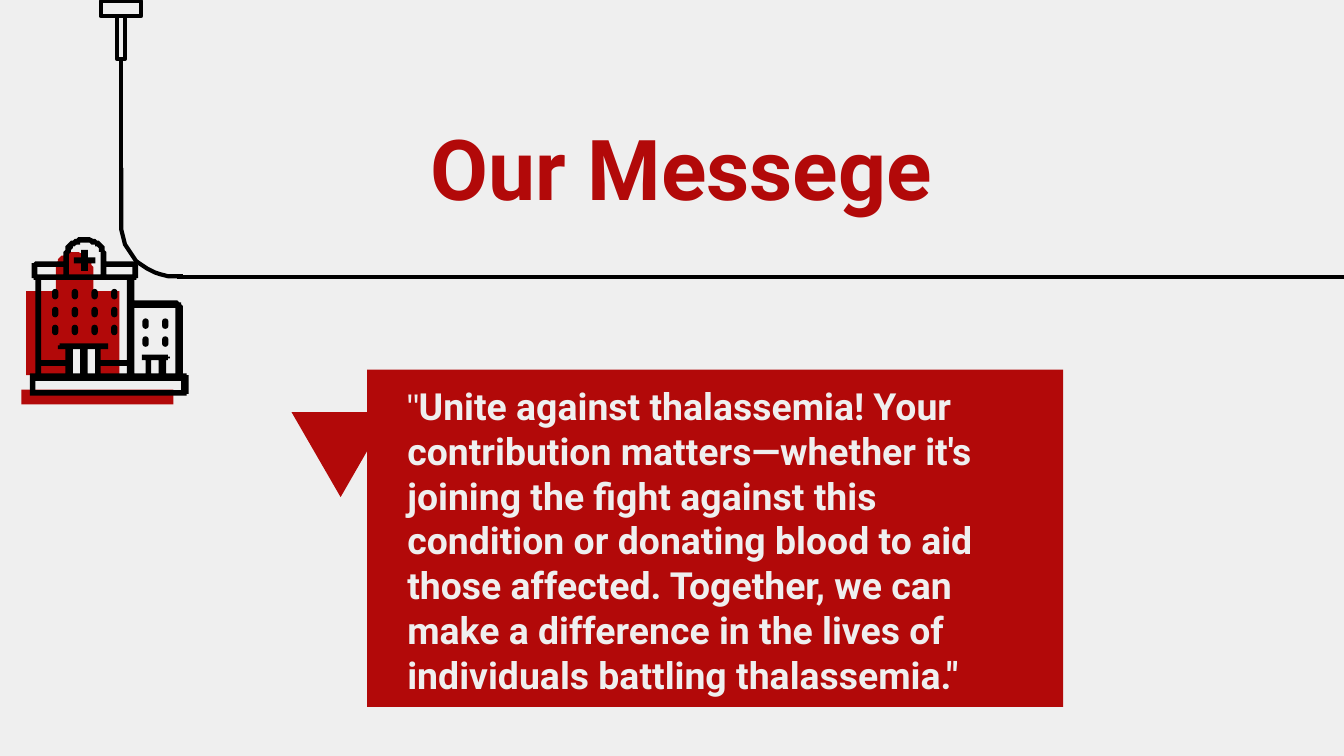
"""Build the closing message slide with its drip line and hospital icon."""
from lxml.etree import SubElement
from pptx import Presentation
from pptx.dml.color import RGBColor
from pptx.enum.shapes import MSO_CONNECTOR, MSO_SHAPE
from pptx.enum.text import MSO_ANCHOR, PP_ALIGN
from pptx.oxml.ns import qn
from pptx.util import Pt

HUES = {"paper": "EFEFEF", "red": "B20909", "ink": "000000"}
hue = {name: RGBColor.from_string(code) for name, code in HUES.items()}


def paint(shape, fill=None, width=0):
    shape.shadow.inherit = False
    if fill:
        shape.fill.solid()
        shape.fill.fore_color.rgb = hue[fill]
    else:
        shape.fill.background()
    if width:
        shape.line.color.rgb = hue["ink"]
        shape.line.width = Pt(width)
    else:
        shape.line.fill.background()
    return shape


def trace(loops, close=True):
    pen = None
    for loop in loops:
        dots = []
        for i, (x, y, *rest) in enumerate(loop):
            if not rest:
                dots.append((x, y))
                continue
            ends = []
            for a, b in (loop[i - 1][:2], loop[(i + 1) % len(loop)][:2]):
                part = rest[0] / (abs(a - x) + abs(b - y))
                ends.append((x + (a - x) * part, y + (b - y) * part))
            for step in range(13):
                t = step / 12
                pull = (1 - t) ** 3 + 1.35 * t * (1 - t) ** 2
                push = t ** 3 + 1.35 * t ** 2 * (1 - t)
                dots.append(tuple(p + (s - p) * pull + (e - p) * push
                                  for p, s, e in zip((x, y), *ends)))
        if pen is None:
            pen = shapes.build_freeform(*dots[0], scale=Pt(1))
        else:
            pen.move_to(*dots[0])
        pen.add_line_segments(dots[1:], close=close)
    return pen.convert_to_shape()


deck = Presentation()
deck.slide_width, deck.slide_height = Pt(720), Pt(405)
slide = deck.slides.add_slide(deck.slide_layouts[6])
slide.background.fill.solid()
slide.background.fill.fore_color.rgb = hue["paper"]
shapes = slide.shapes

cap, leg = [
    paint(shapes.add_shape(MSO_SHAPE.RECTANGLE, *map(Pt, spot)), "paper", 2.25)
    for spot in ((54, 0.7, 21.6, 7.9), (62.6, 8.6, 4.4, 23))
]
tube = []
for spot in ((64.8, 31.6, 64.8, 92), (95, 148.3, 720, 148.3)):
    line = shapes.add_connector(MSO_CONNECTOR.STRAIGHT, *map(Pt, spot))
    line.line.color.rgb = hue["ink"]
    line.line.width = Pt(2.25)
    SubElement(line._element.spPr, qn("a:effectLst"))
    tube.append(line)
tube[0].begin_connect(leg, 2)
bend = [(64.8, 90), (64.8, 148.3, 29), (98, 148.3)]
paint(trace([bend], close=False), width=2.25)

arrow = paint(shapes.add_shape(MSO_SHAPE.ISOSCELES_TRIANGLE, Pt(162.7), Pt(209.5),
                               Pt(52.6), Pt(45.4)), "red")
arrow.rotation = 60
panel = paint(shapes.add_shape(MSO_SHAPE.RECTANGLE, Pt(196.6), Pt(198),
                               Pt(373), Pt(180.7)), "red")
title = shapes.add_textbox(Pt(61.2), Pt(56.9), Pt(607.7), Pt(64.8))

quote = (
    "Unite against thalassemia! Your contribution matters—whether it's joining "
    "the fight against this condition or donating blood to aid those affected. "
    "Together, we can make a difference in the lives of individuals battling "
    'thalassemia."'
)
texts = [
    (panel, MSO_ANCHOR.TOP, PP_ALIGN.LEFT, 21.6, "paper",
     [('"', {"name": "Karla", "size": Pt(20), "bold": False}),
      (quote, {"name": "Roboto", "size": Pt(20), "bold": True})]),
    (title, MSO_ANCHOR.MIDDLE, PP_ALIGN.CENTER, 7.2, "red",
     [("Our Messege", {"name": "Roboto", "size": Pt(45), "bold": True})]),
]
for box, anchor, align, side, color, runs in texts:
    frame = box.text_frame
    form = {"word_wrap": True, "vertical_anchor": anchor,
            "margin_left": Pt(side), "margin_right": Pt(side),
            "margin_top": Pt(7.2), "margin_bottom": Pt(7.2)}
    for key, value in form.items():
        setattr(frame, key, value)
    para = frame.paragraphs[0]
    para.alignment = align
    for words, face in runs:
        run = para.add_run()
        run.text = words
        run.font.color.rgb = hue[color]
        for key, value in face.items():
            setattr(run.font, key, value)

dome = [(29.5, 135.4, 8.4), (49.7, 135.4, 8.4), (49.7, 155.5), (29.5, 155.5)]
block = [(14.4, 155.5), (64.1, 155.5), (64.1, 200.9), (46.8, 200.9),
         (46.8, 192.2), (31, 192.2), (31, 200.9), (14.4, 200.9)]
for loop in (dome, block):
    paint(trace([loop]), "red")

parts = [
    (MSO_SHAPE.RECTANGLE, "red", (11.5, 208.8, 81.4, 7.9)),
    (MSO_SHAPE.RECTANGLE, "red", (28.8, 187.9, 8.6, 13)),
    (MSO_SHAPE.RECTANGLE, "paper", (37.4, 185.8, 15.1, 16.6)),
    (MSO_SHAPE.CROSS, "ink", (39.6, 133.9, 11.5, 11.2)),
]
for left, top, cols, rows in ((27.9, 154.8, 4, 3), (76.3, 170.6, 2, 2)):
    parts += [(MSO_SHAPE.ROUNDED_RECTANGLE, "ink",
               (left + 10.55 * col, top + 9.6 * row, 3.4, 5.6))
              for row in range(rows) for col in range(cols)]
bend_by = {MSO_SHAPE.CROSS: 0.35, MSO_SHAPE.ROUNDED_RECTANGLE: 0.5}
for kind, fill, spot in parts:
    part = paint(shapes.add_shape(kind, *map(Pt, spot)), fill)
    if kind in bend_by:
        part.adjustments[0] = bend_by[kind]

shell = [(33.8, 127.4, 10), (56.9, 127.4, 10), (56.9, 139.7), (74.2, 139.7, 4.3),
         (74.2, 150, 3), (72, 150), (72, 161.3), (97.9, 161.3, 3.6),
         (97.9, 200.2), (100.8, 200.2, 1.4), (100.8, 211.7, 1.4),
         (15.8, 211.7, 1.4), (15.8, 200.2, 1.4), (18.7, 200.2), (18.7, 150),
         (16.6, 150, 3), (16.6, 139.7, 4.3), (33.8, 139.7)]
sign = [(37.4, 130.3, 7), (54, 130.3, 7), (54, 146.9), (37.4, 146.9)]
front = [(22.3, 150.5), (68.4, 150.5), (68.4, 193), (54, 193), (54, 187.2),
         (58.3, 187.2, 1.4), (58.3, 184.3, 1.4), (31, 184.3, 1.4),
         (31, 187.2, 1.4), (35.3, 187.2), (35.3, 193), (22.3, 193)]
annex = [(72, 164.9), (94.3, 164.9), (94.3, 200.2), (88.6, 200.2), (88.6, 193),
         (90.7, 193, 1.4), (90.7, 190.1, 1.4), (75.6, 190.1, 1.4),
         (75.6, 193, 1.4), (77.8, 193), (77.8, 200.2), (72, 200.2)]
holes = [(20.2, 142.6, 33.8, 146.9), (56.9, 142.6, 71.3, 146.9),
         (22.3, 195.8, 35.3, 200.2), (54, 195.8, 68.4, 200.2),
         (38.9, 187.2, 43.2, 200.2), (46.8, 187.2, 51.1, 200.2),
         (81.4, 193, 85, 200.2), (19.4, 203.8, 97.2, 208.8)]
gaps = [[(a, b), (c, b), (c, d), (a, d)] for a, b, c, d in holes]
paint(trace([shell, sign, front, annex] + gaps), "ink")

deck.save("out.pptx")
